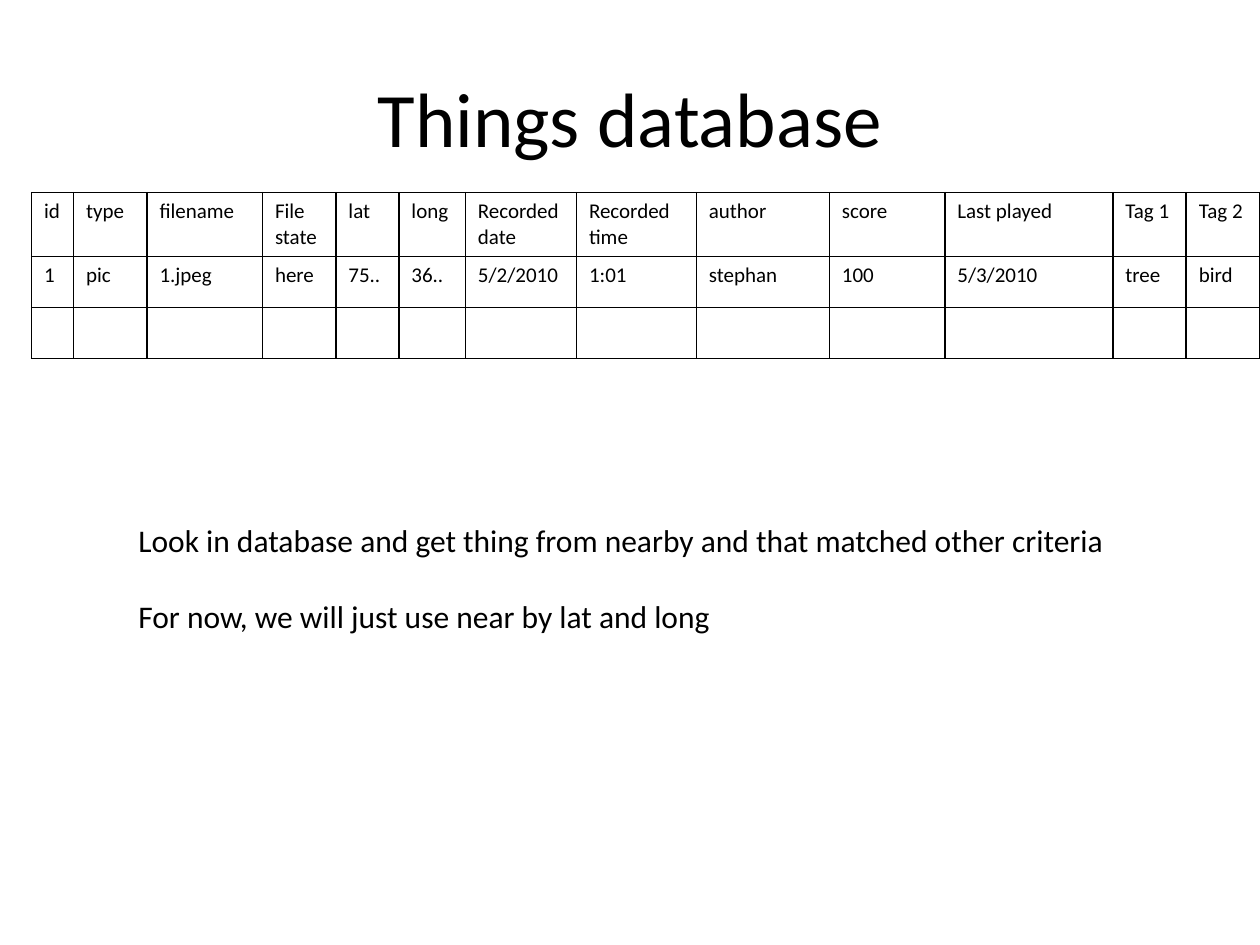
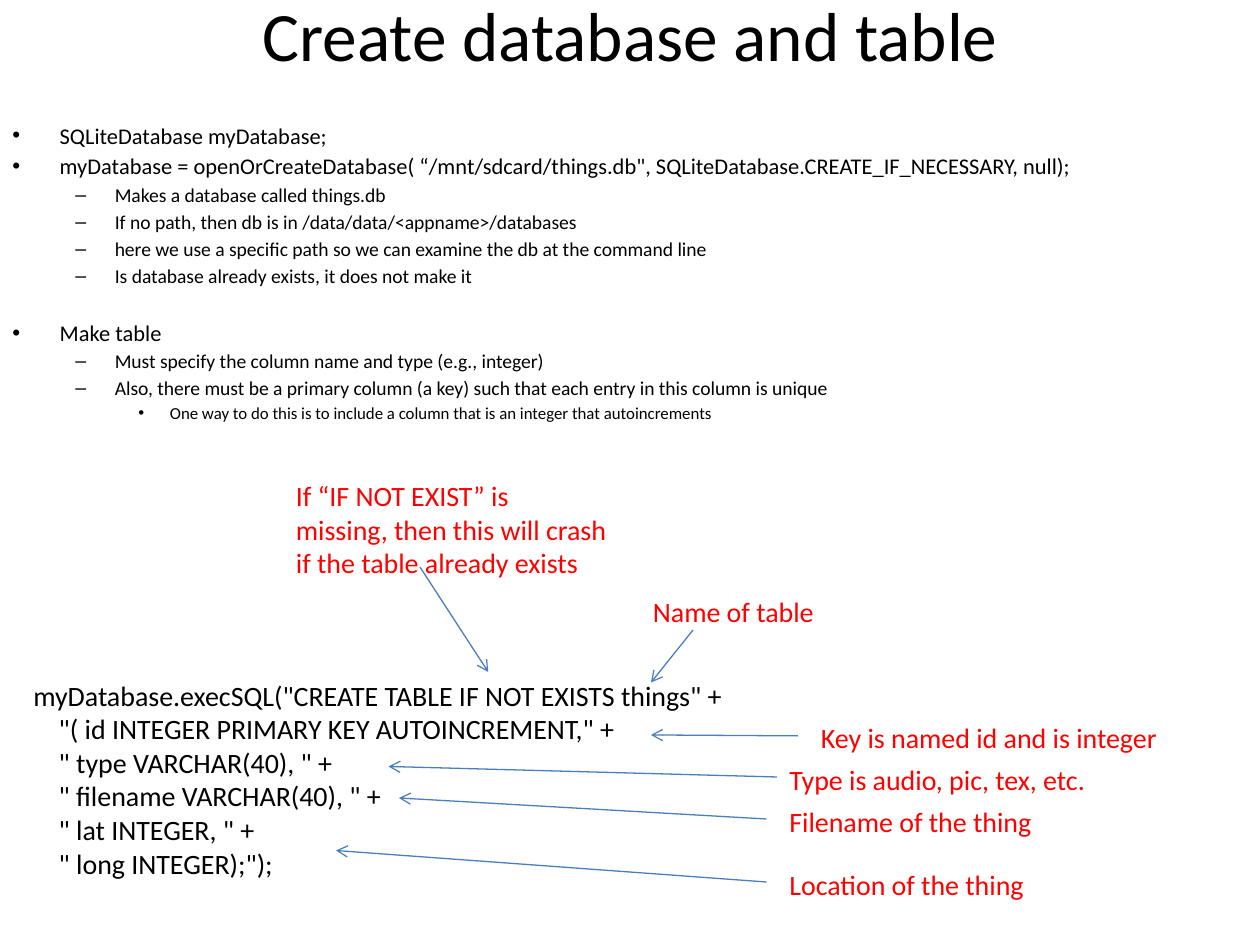
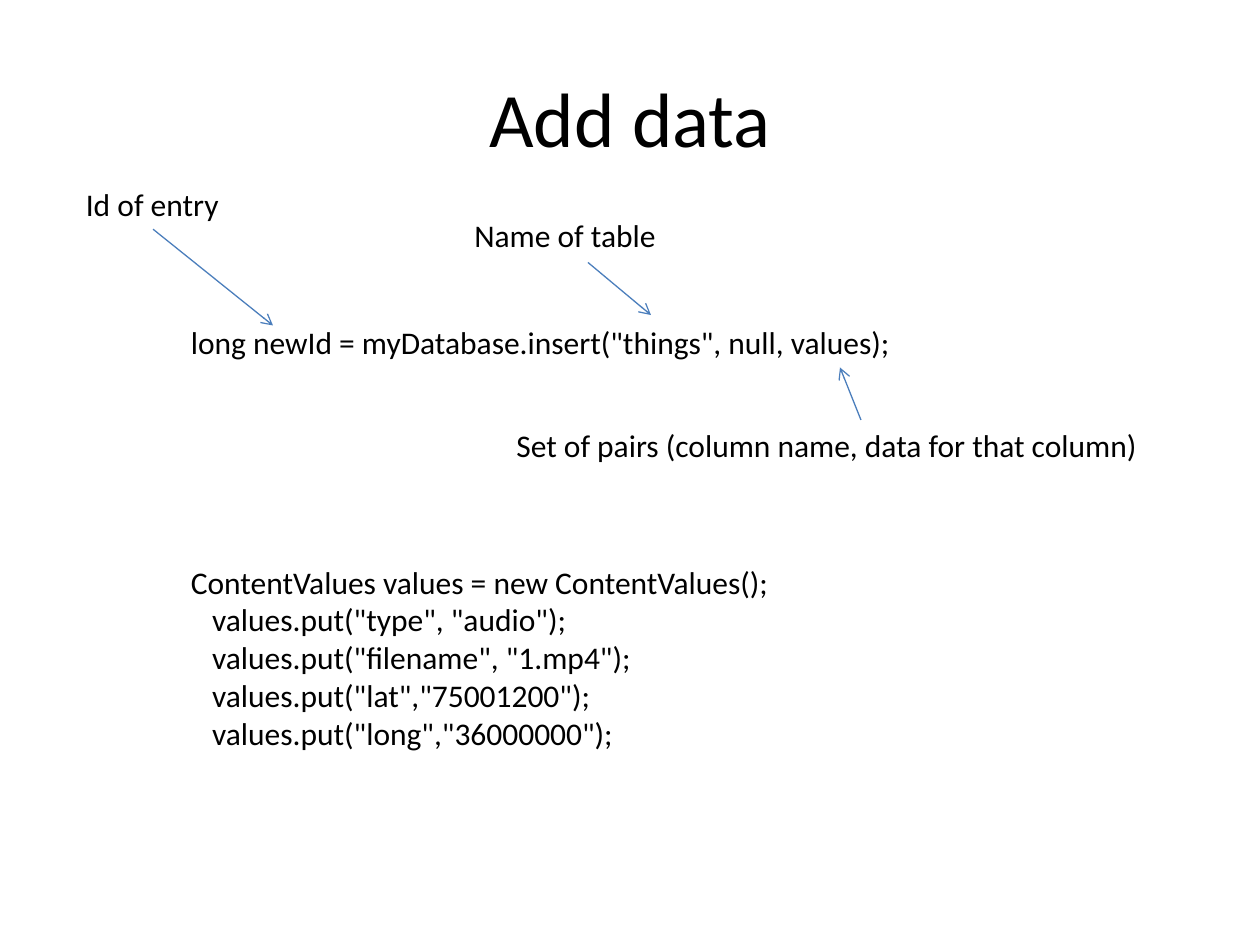
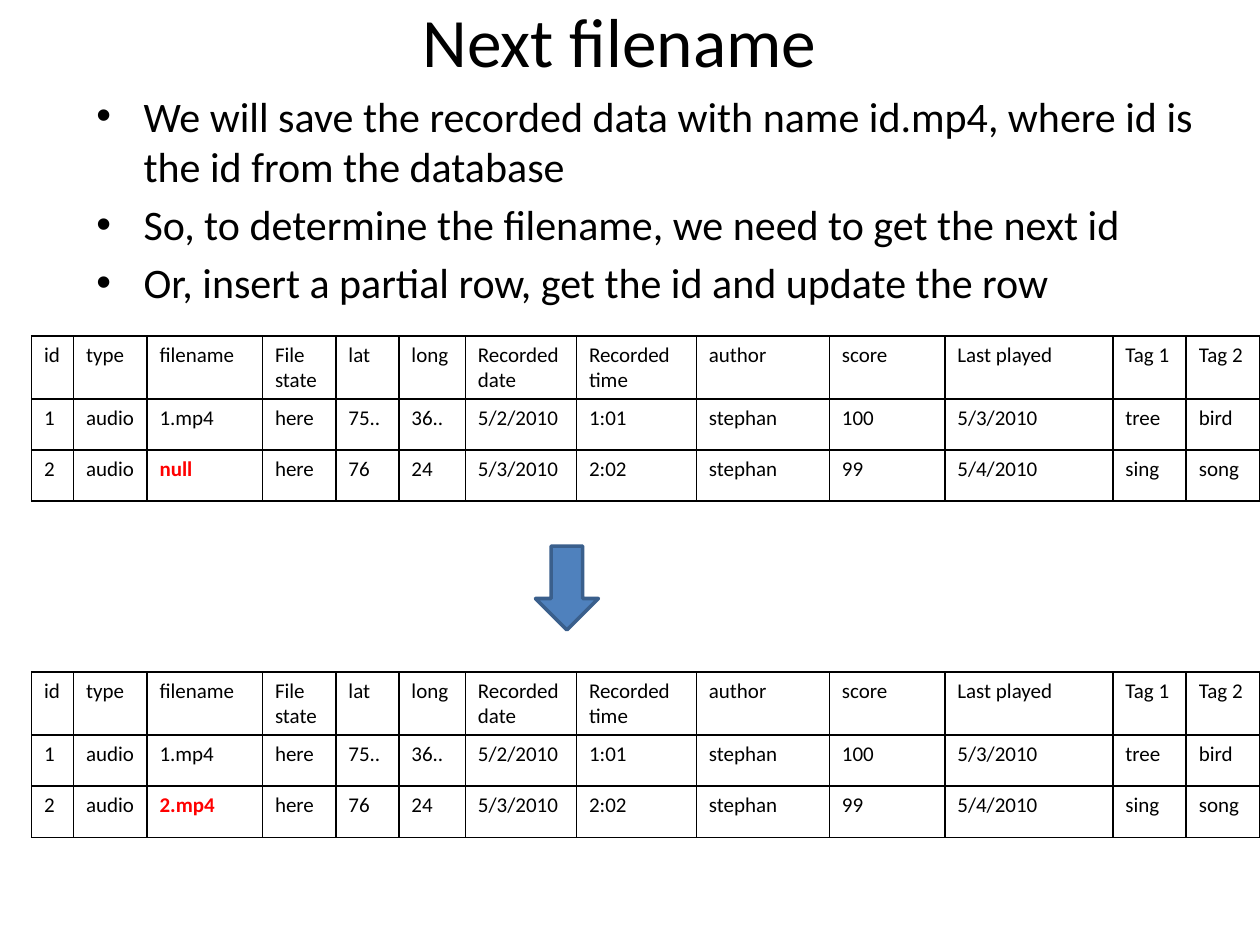
from lxml.etree import SubElement
from pptx import Presentation
from pptx.dml.color import RGBColor
from pptx.enum.shapes import MSO_CONNECTOR as CONNECTOR, MSO_SHAPE as SHAPE
from pptx.enum.text import MSO_ANCHOR as ANCHOR, MSO_AUTO_SIZE as AUTO_SIZE, PP_ALIGN as ALIGN
from pptx.oxml.ns import qn
from pptx.util import Pt

BLACK = RGBColor(0x00, 0x00, 0x00)
WHITE = RGBColor(0xFF, 0xFF, 0xFF)
RED = RGBColor(0xFF, 0x00, 0x00)
ARROW_BLUE = RGBColor(0x4B, 0x7E, 0xBC)
BLOCK_BLUE = RGBColor(0x4F, 0x81, 0xBD)
BLOCK_EDGE = RGBColor(0x3A, 0x5F, 0x8C)

FONT = "Calibri"
TITLE_ONLY = 5
COLUMN_WIDTHS = [24, 42, 66, 42, 36, 38, 63.5, 68.5, 76, 66, 96, 42, 42]
ROW_HEIGHT = 29.2
HEADER = ["id", "type", "filename", "File state", "lat", "long", "Recorded date",
          "Recorded time", "author", "score", "Last played", "Tag 1", "Tag 2"]
# Left indent, hanging indent and bullet of each outline level
BULLET_LEVELS = [(27, 27, "•"), (58.5, 22.5, "–"), (90, 18, "•")]


def style(paragraph, size, color=BLACK, bold=False):
    """Set the font of a whole paragraph."""
    font = paragraph.font
    font.name, font.size, font.bold = FONT, Pt(size), bold
    font.color.rgb = color


def add_titled_slide(deck, title, box=(36, 21.6, 648, 90), size=44):
    """Add a slide with a centred title."""
    slide = deck.slides.add_slide(deck.slide_layouts[TITLE_ONLY])
    slide.background.fill.solid()
    slide.background.fill.fore_color.rgb = WHITE
    heading = slide.shapes.title
    heading.left, heading.top, heading.width, heading.height = map(Pt, box)
    frame = heading.text_frame
    frame.text = title
    frame.auto_size = AUTO_SIZE.NONE
    frame.vertical_anchor = ANCHOR.MIDDLE
    frame.paragraphs[0].alignment = ALIGN.CENTER
    style(frame.paragraphs[0], size)
    return slide


def add_text(slide, box, lines, size=18, color=BLACK, wrap=True, indent=0, gap=0):
    """Add a text box; lines after the first take the indent and the gap."""
    frame = slide.shapes.add_textbox(*map(Pt, box)).text_frame
    frame.word_wrap = wrap
    frame.auto_size = AUTO_SIZE.SHAPE_TO_FIT_TEXT
    for number, line in enumerate(lines):
        paragraph = frame.add_paragraph() if number else frame.paragraphs[0]
        paragraph.text = line
        if number:
            paragraph.space_before = Pt(gap)
            paragraph._p.get_or_add_pPr().set("marL", str(Pt(indent)))
        style(paragraph, size, color)


def add_bullets(slide, box, items, sizes, extra_gaps=None):
    """Add an outline of (level, text) items with one font size per level."""
    frame = slide.shapes.add_textbox(*map(Pt, box)).text_frame
    frame.word_wrap = True
    for number, (level, text) in enumerate(items):
        paragraph = frame.add_paragraph() if number else frame.paragraphs[0]
        paragraph.text = text
        paragraph.level = level
        extra = (extra_gaps or {}).get(text, 0)
        paragraph.space_before = Pt(0.18 * sizes[level] + extra)
        left, hanging, bullet = BULLET_LEVELS[level]
        properties = paragraph._p.get_or_add_pPr()
        properties.set("marL", str(Pt(left)))
        properties.set("indent", str(-Pt(hanging)))
        SubElement(properties, qn("a:buFont"), typeface="Arial")
        SubElement(properties, qn("a:buChar"), char=bullet)
        style(paragraph, sizes[level])


def add_arrow(slide, start, end):
    """Draw a thin arrow from start to end."""
    arrow = slide.shapes.add_connector(CONNECTOR.STRAIGHT, *map(Pt, start + end))
    arrow.line.color.rgb = ARROW_BLUE
    arrow.line.width = Pt(0.75)
    properties = arrow.element.spPr
    SubElement(properties.find(qn("a:ln")), qn("a:tailEnd"), type="arrow")
    SubElement(properties, qn("a:effectLst"))


def add_borders(cell):
    """Give a cell black one-point borders on all sides."""
    properties = cell._tc.get_or_add_tcPr()
    for position, side in enumerate(("lnL", "lnR", "lnT", "lnB")):
        border = SubElement(properties, qn("a:" + side), w=str(Pt(1)))
        SubElement(SubElement(border, qn("a:solidFill")), qn("a:srgbClr"), val=str(BLACK))
        properties.insert(position, border)


def add_things_table(slide, top, records, highlight=None):
    """Add the things table; the cell that reads highlight is bold red."""
    rows = [HEADER] + records
    table = slide.shapes.add_table(
        len(rows), len(HEADER), Pt(18), Pt(top),
        Pt(sum(COLUMN_WIDTHS)), Pt(ROW_HEIGHT * len(rows))).table
    table.first_row = table.horz_banding = False
    for column, width in zip(table.columns, COLUMN_WIDTHS):
        column.width = Pt(width)
    for row, values in zip(table.rows, rows):
        row.height = Pt(ROW_HEIGHT)
        for cell, value in zip(row.cells, values):
            cell.text = value
            cell.fill.background()
            marked = highlight is not None and value == highlight
            style(cell.text_frame.paragraphs[0], 12, RED if marked else BLACK, marked)
            add_borders(cell)


def first_record(kind, filename):
    """Return the first record for a kind of thing and its file."""
    return ["1", kind, filename, "here", "75..", "36..", "5/2/2010", "1:01",
            "stephan", "100", "5/3/2010", "tree", "bird"]


def second_record(filename):
    """Return the second record with the given file name."""
    return ["2", "audio", filename, "here", "76", "24", "5/3/2010", "2:02",
            "stephan", "99", "5/4/2010", "sing", "song"]


def build_things_database(deck):
    """Slide with the layout of the things table."""
    slide = add_titled_slide(deck, "Things database")
    add_things_table(slide, 110, [first_record("pic", "1.jpeg"), [""] * len(HEADER)])
    add_text(slide, (72, 294, 573, 73), [
        "Look in database and get thing from nearby and that matched other criteria",
        "For now, we will just use near by lat and long"], wrap=False, gap=22)


def build_create_table(deck):
    """Slide that explains the statement creating the table."""
    slide = add_titled_slide(deck, "Create database and table", (36, -9.5, 648, 57.5), 39.6)
    add_bullets(slide, (0, 66, 702, 186), [
        (0, "SQLiteDatabase myDatabase;"),
        (0, "myDatabase = openOrCreateDatabase( “/mnt/sdcard/things.db\", "
            "SQLiteDatabase.CREATE_IF_NECESSARY, null);"),
        (1, "Makes a database called things.db"),
        (1, "If no path, then db is in /data/data/<appname>/databases"),
        (1, "here we use a specific path so we can examine the db at the command line"),
        (1, "Is database already exists, it does not make it"),
        (0, "Make table"),
        (1, "Must specify the column name and type (e.g., integer)"),
        (1, "Also, there must be a primary column (a key) such that each entry "
            "in this column is unique"),
        (2, "One way to do this is to include a column that is an integer that autoincrements"),
    ], sizes=(12.8, 11.2, 9.6), extra_gaps={"Make table": 15.6})
    add_text(slide, (12, 384, 534, 145), [
        "myDatabase.execSQL(\"CREATE TABLE IF NOT EXISTS things\" +",
        "\"( id INTEGER PRIMARY KEY AUTOINCREMENT,\" +",
        "\" type VARCHAR(40), \" +",
        "\" filename VARCHAR(40), \" +",
        "\" lat INTEGER, \" +",
        "\" long INTEGER);\");"], size=16, indent=14.5)

    remarks = [
        ("Name of table", (366, 336, 107), (396, 360), (372, 390)),
        ("Key is named id and is integer", (462, 408, 209), (456, 420.5), (372, 420)),
        ("Type is audio, pic, tex, etc.", (444, 432, 186), (444, 444), (222, 438)),
        ("Filename of the thing", (444, 456, 155), (438, 468), (228, 456)),
        ("Location of the thing", (444, 492, 150.5), (438, 504), (192, 486)),
    ]
    for remark, place, start, end in remarks:
        add_text(slide, place + (26.6,), [remark], 16, RED, wrap=False)
        add_arrow(slide, start, end)
    add_text(slide, (162, 270, 192, 65.5), [
        "If “IF NOT EXIST” is missing, then this will crash if the table already exists"],
        16, RED)
    add_arrow(slide, (240, 324), (279, 384))


def build_add_data(deck):
    """Slide that explains the insert call."""
    slide = add_titled_slide(deck, "Add data")
    add_text(slide, (102, 181, 504, 29),
             ["long newId = myDatabase.insert(\"things\", null, values);"])
    remarks = [
        ("Name of table", (264, 120, 119.5), (336, 150), (372, 180)),
        ("Set of pairs (column name, data for that column)", (288, 240, 373.5),
         (492, 240), (480, 210)),
        ("Id of entry", (42, 102, 91.5), (87.5, 131), (156, 186)),
    ]
    for remark, place, start, end in remarks:
        add_text(slide, place + (29,), [remark], wrap=False)
        add_arrow(slide, start, end)
    add_text(slide, (102, 318, 360, 117), [
        "ContentValues values = new ContentValues();",
        "values.put(\"type\", \"audio\");",
        "values.put(\"filename\", \"1.mp4\");",
        "values.put(\"lat\",\"75001200\");",
        "values.put(\"long\",\"36000000\");"], indent=12.2)


def build_next_filename(deck):
    """Slide with the table before and after the file name is set."""
    slide = add_titled_slide(deck, "Next filename", (30, 0, 648, 45), 39.6)
    add_bullets(slide, (48, 48, 648, 156), [
        (0, "We will save the recorded data with name id.mp4, where id is the id "
            "from the database"),
        (0, "So, to determine the filename, we need to get the next id"),
        (0, "Or, insert a partial row, get the id and update the row")], sizes=(24,))
    for top, filename in ((192, "null"), (384, "2.mp4")):
        records = [first_record("audio", "1.mp4"), second_record(filename)]
        add_things_table(slide, top, records, highlight=filename)
    update = slide.shapes.add_shape(SHAPE.DOWN_ARROW, Pt(306), Pt(312), Pt(36), Pt(48))
    update.shadow.inherit = False
    update.fill.solid()
    update.fill.fore_color.rgb = BLOCK_BLUE
    update.line.color.rgb = BLOCK_EDGE
    update.line.width = Pt(2)


def main():
    """Build the four slides and save them."""
    deck = Presentation()
    deck.slide_width, deck.slide_height = Pt(720), Pt(540)
    build_things_database(deck)
    build_create_table(deck)
    build_add_data(deck)
    build_next_filename(deck)
    deck.save("out.pptx")


main()
